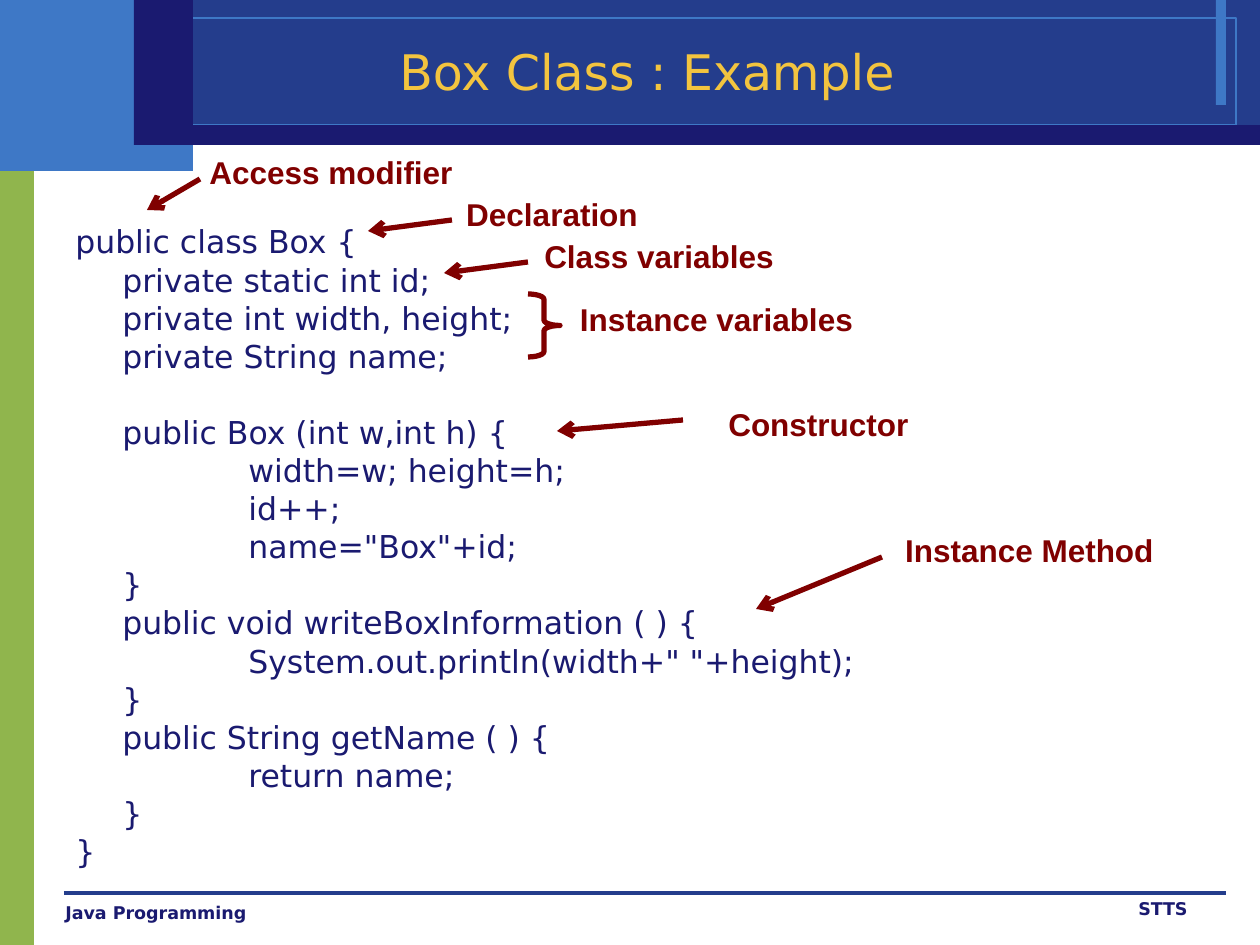
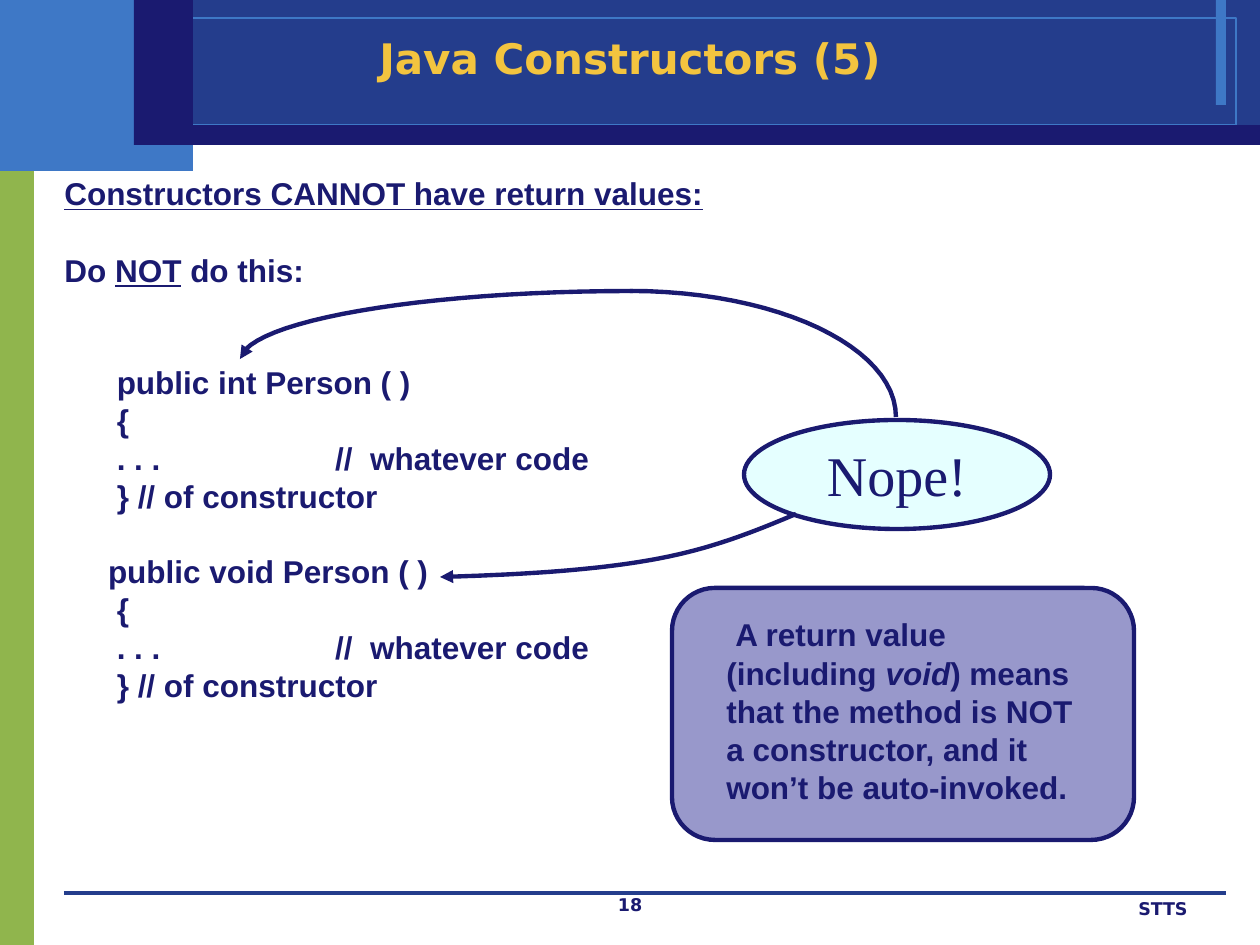
from dataclasses import dataclass, field
from typing import Any

import pptx
import pptx.dml.color
import pptx.enum.shapes
import pptx.enum.text
import pptx.oxml
import pptx.oxml.ns
import pptx.util

PX = 914400 / 126
COLORS = {
    "green": "90B54D", "sky": "3E78C6", "blue": "243D8C", "navy": "1A1A70",
    "gold": "F3C43F", "maroon": "800000", "violet": "333399", "ice": "CCFFFF",
}
SHAPE = pptx.enum.shapes.MSO_SHAPE
ALIGN = pptx.enum.text.PP_ALIGN
ANCHOR = pptx.enum.text.MSO_ANCHOR
Pt = pptx.util.Pt
PITCH = Pt(21.78)
STEPS = 24

TITLE = {"name": "DejaVu Sans", "size": Pt(28), "bold": False}
FOOTER = {"name": "DejaVu Sans", "size": Pt(10), "bold": True}
CODE = {"name": "DejaVu Sans", "size": Pt(18), "bold": False}
NOTE = {"name": "Arial", "size": Pt(18), "bold": True}
SHOUT = {"name": "Times New Roman", "size": Pt(32), "bold": False}

Box = tuple[int, int, int, int]
Point = tuple[int, int]


@dataclass
class Para:
    runs: list[tuple[str, dict[str, Any]]]
    before: float = 0
    left: int = 0
    first: int = 0


@dataclass
class Text:
    box: Box
    paras: list[Para]
    font: dict[str, Any]
    color: str = "navy"
    align: Any = ALIGN.LEFT
    anchor: Any = ANCHOR.TOP
    pitch: int | None = None


@dataclass
class Shape:
    box: Box
    kind: Any = SHAPE.RECTANGLE
    fill: str | None = None
    opacity: int = 100
    line: str | None = None
    width: float = 0
    adjust: list[float] = field(default_factory=list)


@dataclass
class Callout:
    label: str
    box: Box
    start: Point | None = None
    end: Point | None = None


@dataclass
class Curve:
    """A chain of cubic Bezier pieces: a start, then three points per piece."""
    points: list[Point]
    arrow: bool = True


BACKGROUND = [
    Shape((0, 135, 34, 810), fill="green"),
    Shape((0, 0, 193, 171), fill="sky"),
    Shape((193, 0, 1067, 145), fill="blue"),
    Shape((1216, 0, 10, 105), fill="sky"),
    Shape((25, 18, 1211, 107), line="sky"),
    Shape((168, 125, 1092, 20), fill="navy"),
    Shape((134, 0, 59, 145), fill="navy"),
]

INDENTS = (0, 47, 173)
BOX_CLASS = [
    (0, "public class Box {"),
    (1, "private static int id;"),
    (1, "private int width, height;"),
    (1, "private String name;"),
    (1, "public Box (int w,int h) {"),
    (2, "width=w; height=h;"),
    (2, "id++;"),
    (2, 'name="Box"+id;'),
    (1, "}"),
    (1, "public void writeBoxInformation ( ) {"),
    (2, 'System.out.println(width+" "+height);'),
    (1, "}"),
    (1, "public String getName ( ) {"),
    (2, "return name;"),
    (1, "}"),
    (0, "}"),
]
CONSTRUCTOR_LINE = 4

CALLOUTS = [
    Callout("Access modifier", (189, 147, 284, 50), (200, 179), (147, 210)),
    Callout("Declaration", (410, 189, 284, 50), (452, 220), (368, 231)),
    Callout("Class variables", (517, 231, 284, 50), (528, 262), (444, 273)),
    Callout("Instance variables", (559, 294, 315, 50)),
    Callout("Constructor", (661, 399, 315, 50), (683, 420), (557, 431)),
    Callout("Instance Method", (872, 525, 315, 50), (882, 557), (756, 609)),
]

CONSTRUCTOR_BODY = [
    "      {",
    "      . . .                    //  whatever code",
    "      } // of constructor",
]

CURVES = [
    Curve([(630, 291), (777, 291), (896, 347), (896, 417)], arrow=False),
    Curve([(633, 291), (421, 291), (248, 321), (240, 359)]),
    Curve([(796, 514), (751, 533), (706, 551), (645, 561),
           (586, 571), (513, 575), (440, 577)]),
]


def emu(px: float) -> int:
    return round(px * PX)


def rgb(name: str) -> pptx.dml.color.RGBColor:
    return pptx.dml.color.RGBColor.from_string(COLORS[name])


def apply(target: Any, values: dict[str, Any]) -> None:
    for name, value in values.items():
        setattr(target, name, value)


def plain(text: str, **layout: Any) -> Para:
    return Para([(text, {})], **layout)


def add_xml(parent: Any, tag: str, **attributes: str) -> None:
    el = pptx.oxml.ns.qn(tag)
    parent.append(parent.makeelement(el, attributes))


def style_line(sp: Any, color: str, width: float, arrow: str = "") -> None:
    sp.line.color.rgb = rgb(color)
    sp.line.width = Pt(width)
    if arrow:
        ln = sp._element.spPr.find(pptx.oxml.ns.qn("a:ln"))
        add_xml(ln, "a:tailEnd", type=arrow)


def fill_text(tf: Any, text: Text) -> None:
    apply(tf, {"word_wrap": True, "vertical_anchor": text.anchor})
    for i, para in enumerate(text.paras):
        p = tf.paragraphs[0] if i == 0 else tf.add_paragraph()
        p.alignment = text.align
        if text.pitch:
            p.line_spacing = text.pitch
        if para.before:
            p.space_before = Pt(para.before)
        pPr = p._p.get_or_add_pPr()
        pPr.set("marL", str(emu(para.left)))
        pPr.set("indent", str(emu(para.first)))
        for words, extra in para.runs:
            r = p.add_run()
            r.text = words
            apply(r.font, text.font | extra)
            r.font.color.rgb = rgb(text.color)


def add_text(s: Any, text: Text) -> None:
    fill_text(s.shapes.add_textbox(*map(emu, text.box)).text_frame, text)


def add_shape(s: Any, shape: Shape) -> Any:
    sp = s.shapes.add_shape(shape.kind, *map(emu, shape.box))
    sp.shadow.inherit = False
    for i, value in enumerate(shape.adjust):
        sp.adjustments[i] = value
    if shape.fill:
        sp.fill.solid()
        sp.fill.fore_color.rgb = rgb(shape.fill)
        if shape.opacity < 100:
            fill = sp._element.spPr.find(pptx.oxml.ns.qn("a:solidFill"))
            add_xml(fill[0], "a:alpha", val=str(shape.opacity * 1000))
    else:
        sp.fill.background()
    if shape.line:
        style_line(sp, shape.line, shape.width)
    else:
        sp.line.fill.background()
    return sp


def add_line(s: Any, start: Point, end: Point, color: str,
             width: float, arrow: str = "") -> None:
    kind = pptx.enum.shapes.MSO_CONNECTOR.STRAIGHT
    sp = s.shapes.add_connector(kind, *map(emu, start + end))
    style_line(sp, color, width, arrow)
    add_xml(sp._element.spPr, "a:effectLst")


def bezier(a: Point, b: Point, c: Point, d: Point) -> list[tuple[int, int]]:
    """Sample one cubic piece, in EMU, leaving out its first point."""
    result = []
    for t in (i / STEPS for i in range(1, STEPS + 1)):
        weights = ((1 - t) ** 3, 3 * t * (1 - t) ** 2, 3 * t * t * (1 - t), t ** 3)
        x, y = (sum(w * v for w, v in zip(weights, axis)) for axis in zip(a, b, c, d))
        result.append((emu(x), emu(y)))
    return result


def add_curve(s: Any, curve: Curve) -> None:
    pts = curve.points
    fb = s.shapes.build_freeform(*map(emu, pts[0]), scale=1.0)
    for i in range(0, len(pts) - 1, 3):
        fb.add_line_segments(bezier(*pts[i:i + 4]), close=False)
    sp = fb.convert_to_shape()
    sp.shadow.inherit = False
    sp.fill.background()
    style_line(sp, "navy", 2.5, "triangle" if curve.arrow else "")


def add_callout(s: Any, callout: Callout) -> None:
    add_text(s, Text(callout.box, [plain(callout.label)], NOTE, "maroon",
                     ALIGN.CENTER, pitch=PITCH))
    if callout.start and callout.end:
        add_line(s, callout.start, callout.end, "maroon", 3, "arrow")


def add_base(prs: Any, title: str, box: Box, font: dict[str, Any]) -> Any:
    """Add a blank slide with the bands, the footer rule and mark, and a title."""
    s = prs.slides.add_slide(prs.slide_layouts[6])
    for shape in BACKGROUND:
        add_shape(s, shape)
    add_line(s, (64, 893), (1226, 893), "blue", 0)
    add_text(s, Text((948, 892, 252, 32), [plain("STTS")], FOOTER, align=ALIGN.RIGHT))
    add_text(s, Text(box, [plain(title)], font, "gold", ALIGN.CENTER, ANCHOR.MIDDLE))
    return s


def add_box_class(prs: Any) -> None:
    s = add_base(prs, "Box Class : Example", (105, 32, 1084, 78), TITLE)
    add_text(s, Text((53, 896, 346, 32), [plain("Java Programming")], FOOTER))
    paras = [plain(line, left=INDENTS[level],
                   before=PITCH.pt if i == CONSTRUCTOR_LINE else 0)
             for i, (level, line) in enumerate(BOX_CLASS)]
    add_text(s, Text((63, 216, 1134, 660), paras, CODE, pitch=PITCH))
    for callout in CALLOUTS:
        add_callout(s, callout)
    add_shape(s, Shape((528, 294, 32, 63), SHAPE.RIGHT_BRACE, line="maroon",
                       width=3, adjust=[0.17, 0.5]))


def add_constructors(prs: Any) -> None:
    s = add_base(prs, "Java Constructors (5)", (95, 0, 1070, 116),
                 TITLE | {"size": Pt(24), "bold": True})
    add_text(s, Text((483, 888, 294, 32), [plain("18")], FOOTER, align=ALIGN.CENTER))
    add_shape(s, Shape((672, 588, 462, 252), SHAPE.ROUNDED_RECTANGLE, "violet", 50,
                       "navy", 2.5, [0.17]))
    under = {"underline": True}
    body = [plain(line) for line in CONSTRUCTOR_BODY]
    paras = [
        Para([("Constructors CANNOT have return values:", under)]),
        Para([("Do ", {}), ("NOT", under), (" do this:", {})], before=PITCH.pt),
        plain("      public int Person ( )", before=42.5), *body,
        plain("     public void Person ( )", before=20.7), *body,
    ]
    add_text(s, Text((52, 168, 680, 580), paras, NOTE, pitch=PITCH))
    nope = add_shape(s, Shape((744, 420, 306, 109), SHAPE.OVAL, "ice", 50, "navy", 2.5))
    fill_text(nope.text_frame, Text((744, 420, 306, 109), [plain("Nope!")], SHOUT,
                                    align=ALIGN.CENTER, anchor=ANCHOR.MIDDLE))
    for curve in CURVES:
        add_curve(s, curve)
    reason = Para([
        ("A return value (including ", {}), ("void", {"italic": True}),
        (") means that the method is NOT a constructor, and it won’t be auto-invoked.", {}),
    ], first=9)
    add_text(s, Text((714, 609, 388, 202), [reason], NOTE, pitch=PITCH))


def main() -> None:
    prs = pptx.Presentation()
    apply(prs, {"slide_width": emu(1260), "slide_height": emu(945)})
    add_box_class(prs)
    add_constructors(prs)
    prs.save("out.pptx")


if __name__ == "__main__":
    main()
